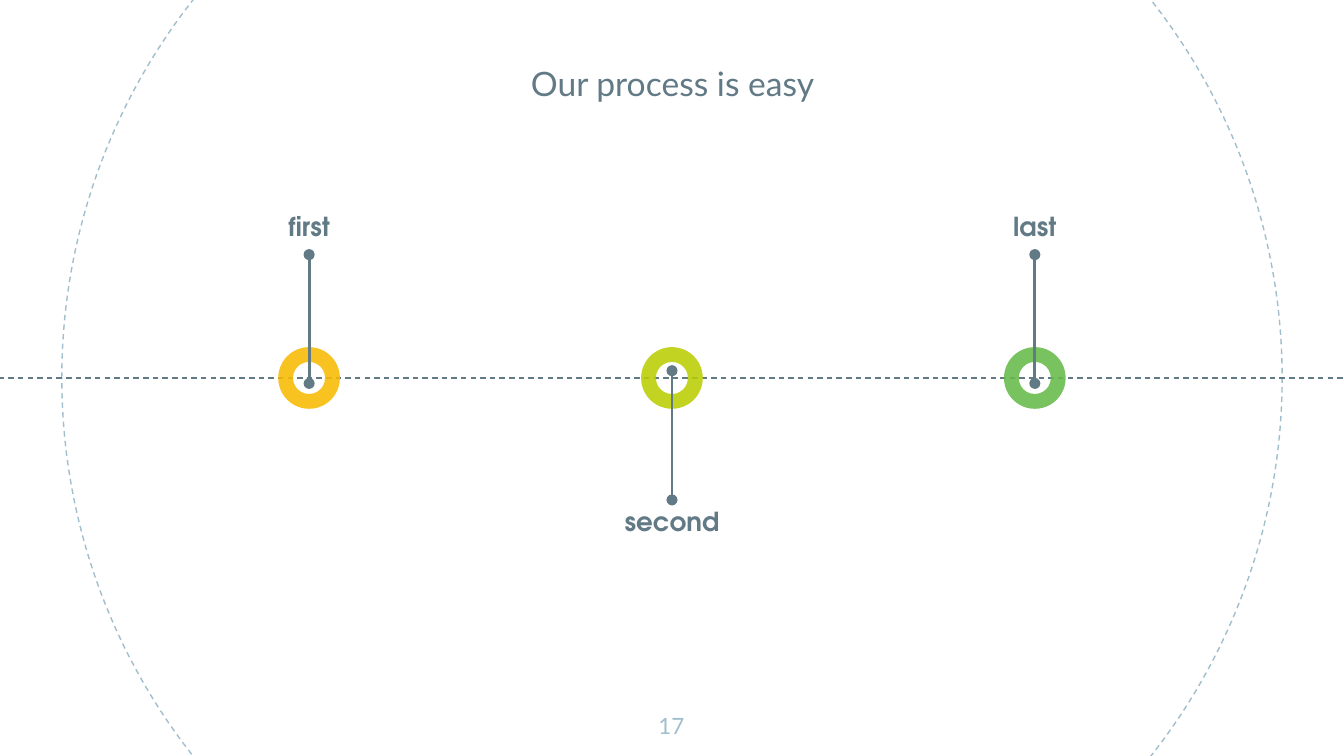
from lxml import etree
from pptx import Presentation
from pptx import util as u
from pptx.dml.color import RGBColor
from pptx.enum import dml, shapes, text
from pptx.oxml import ns

PAGE = (0, 0, 10, 10 * 9 / 16)
HUES = {
    "slate": "617A86",
    "mist": "A1BECC",
    "gold": "F8BB00",
    "lime": "BBCD00",
    "green": "65BB48",
}
STEPS = [("first", "gold", True), ("second", "lime", False), ("last", "green", True)]
COL = 27


def hue(name):
    return RGBColor.from_string(HUES[name])


def sub(box, x, y, w=0, h=0):
    left, top, wide, high = box
    return (left + x * wide / 100, top + y * high / 100,
            w * wide / 100, h * high / 100)


def inch(vals):
    return [u.Inches(v) for v in vals]


def add(node, tag, **attrs):
    return etree.SubElement(node, ns.qn(tag), **attrs)


def write(shape, words, size=14, font="Lato", color="slate", bold=False, anchor="TOP"):
    frame = shape.text_frame
    frame.word_wrap = True
    frame.auto_size = text.MSO_AUTO_SIZE.NONE
    frame.vertical_anchor = text.MSO_ANCHOR[anchor]
    frame.margin_left = frame.margin_right = u.Inches(0.1)
    frame.margin_top = frame.margin_bottom = u.Inches(0.1)
    para = frame.paragraphs[0]
    para.alignment = text.PP_ALIGN.CENTER
    run = para.add_run()
    run.text = words
    run.font.size = u.Pt(size)
    run.font.name = font
    run.font.bold = bold
    run.font.color.rgb = hue(color)


def stroke(line, color, width, dash=False):
    line.color.rgb = hue(color)
    line.width = u.Pt(width)
    if dash:
        line.dash_style = dml.MSO_LINE.DASH


def link(slide, start, end, width, dash=False, dots=False):
    line = slide.shapes.add_connector(
        shapes.MSO_CONNECTOR.STRAIGHT, *inch(start + end))
    stroke(line.line, "slate", width, dash)
    if dots:
        edge = line.line._get_or_add_ln()
        add(edge, "a:headEnd", type="oval")
        add(edge, "a:tailEnd", type="oval")
    add(line._element.spPr, "a:effectLst")


def ring(slide, box):
    left, mid, wide, _ = sub(box, 4.6, 50, 90.8)
    shape = slide.shapes.add_shape(
        shapes.MSO_SHAPE.OVAL, *inch((left, mid - wide / 2, wide, wide)))
    shape.shadow.inherit = False
    shape.fill.background()
    stroke(shape.line, "mist", 0.75, dash=True)


def axis(slide, box):
    link(slide, sub(box, -0.1, 50)[:2], sub(box, 100.1, 50)[:2], 0.75, dash=True)


def head(slide, box, words):
    title = slide.shapes.title
    title.left, title.top, title.width, title.height = inch(box)
    write(title, words, size=18, anchor="BOTTOM")


def step(slide, box, words, color, above):
    donut = slide.shapes.add_shape(
        shapes.MSO_SHAPE.DONUT, *inch(sub(box, 41.5, 41.5, 17, 17)))
    donut.adjustments[0] = 0.24
    donut.shadow.inherit = False
    donut.fill.solid()
    donut.fill.fore_color.rgb = hue(color)
    shade = donut._element.spPr.find(".//" + ns.qn("a:srgbClr"))
    add(shade, "a:alpha", val="87000")
    donut.line.fill.background()

    near, far, top = (51.5, 16, 0) if above else (48, 83.6, 81.4)
    link(slide, sub(box, 50, near)[:2], sub(box, 50, far)[:2], 1.5, dots=True)
    label = slide.shapes.add_textbox(*inch(sub(box, 25, top, 50, 17)))
    write(label, words, font="TeX Gyre Adventor", bold=True)


def number(slide, box, words):
    note = slide.shapes.add_textbox(*inch(box))
    write(note, words, size=12, color="mist")


def main():
    deck = Presentation()
    deck.slide_width, deck.slide_height = inch(PAGE[2:])
    slide = deck.slides.add_slide(deck.slide_layouts[5])
    ring(slide, PAGE)
    axis(slide, PAGE)
    head(slide, sub(PAGE, 21.2, 3, 57.7, 12.5), "Our process is easy")
    for i, item in enumerate(STEPS):
        left = 50 + (i - 1.5) * COL
        step(slide, sub(PAGE, left, 26, COL, 48), *item)
    number(slide, sub(PAGE, 47.4, 92.4, 5.1, 7.6), "17")
    deck.save("out.pptx")


if __name__ == "__main__":
    main()
